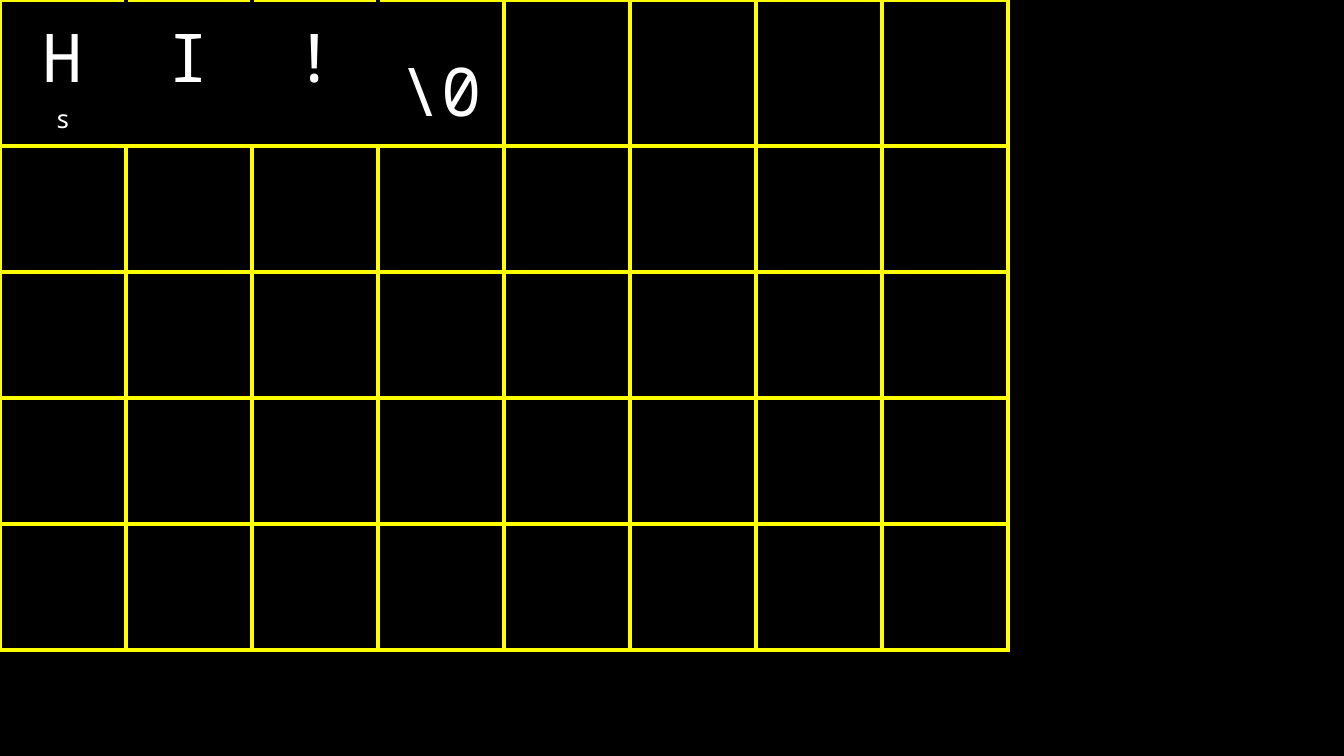
from lxml.etree import SubElement
from pptx import Presentation
from pptx.dml.color import RGBColor
from pptx.enum.text import MSO_ANCHOR, PP_ALIGN
from pptx.oxml.ns import qn
from pptx.util import Inches, Pt

BLACK = RGBColor(0, 0, 0)
WHITE = RGBColor(255, 255, 255)
YELLOW = RGBColor(255, 255, 0)
FONT = "Noto Sans Mono"
ROWS, COLS = 5, 8
SIDE = 1.25
PADDING = 0.1
LABEL_HEIGHT = 0.34

# Character, variable name under it, space left below for a missing name
STRING_CELLS = [
    ("H", "s", 0),
    ("I", "", LABEL_HEIGHT),
    ("!", "", LABEL_HEIGHT),
    ("\\0", "", 0),
]


def set_borders(cell, left, right):
    """Draw 3 pt sides; top and bottom are always yellow."""
    tcPr = cell._tc.get_or_add_tcPr()
    sides = [("L", left), ("R", right), ("T", YELLOW), ("B", YELLOW)]
    for i, (side, color) in enumerate(sides):
        ln = SubElement(tcPr, qn(f"a:ln{side}"), w=str(Pt(3)))
        fill = SubElement(ln, qn("a:solidFill"))
        SubElement(fill, qn("a:srgbClr"), val=str(color))
        tcPr.insert(i, ln)


def add_line(p, text, size):
    p.text = text
    p.alignment = PP_ALIGN.CENTER
    p.font.name = FONT
    p.font.size = Pt(size)
    p.font.color.rgb = WHITE


def fill_string_cell(cell, char, label, gap):
    cell.vertical_anchor = MSO_ANCHOR.BOTTOM
    cell.margin_bottom = Inches(PADDING + gap)
    tf = cell.text_frame
    add_line(tf.paragraphs[0], char, 48)
    if label:
        add_line(tf.add_paragraph(), label, 18)


def add_memory_grid(s):
    frame = s.shapes.add_table(ROWS, COLS, 0, 0,
                               Inches(COLS * SIDE), Inches(ROWS * SIDE))
    table = frame.table
    table.first_row = table.horz_banding = False
    last = len(STRING_CELLS) - 1
    for r in range(ROWS):
        for c in range(COLS):
            cell = table.cell(r, c)
            cell.margin_left = cell.margin_right = Inches(PADDING)
            cell.margin_top = cell.margin_bottom = Inches(PADDING)
            cell.fill.solid()
            cell.fill.fore_color.rgb = BLACK
            left = BLACK if r == 0 and 0 < c <= last else YELLOW
            right = BLACK if r == 0 and c < last else YELLOW
            set_borders(cell, left, right)
    for c, content in enumerate(STRING_CELLS):
        fill_string_cell(table.cell(0, c), *content)


def main():
    prs = Presentation()
    prs.slide_width = Inches(13.33)
    prs.slide_height = Inches(7.5)
    s = prs.slides.add_slide(prs.slide_layouts[6])
    s.background.fill.solid()
    s.background.fill.fore_color.rgb = BLACK
    add_memory_grid(s)
    prs.save("out.pptx")


if __name__ == "__main__":
    main()
